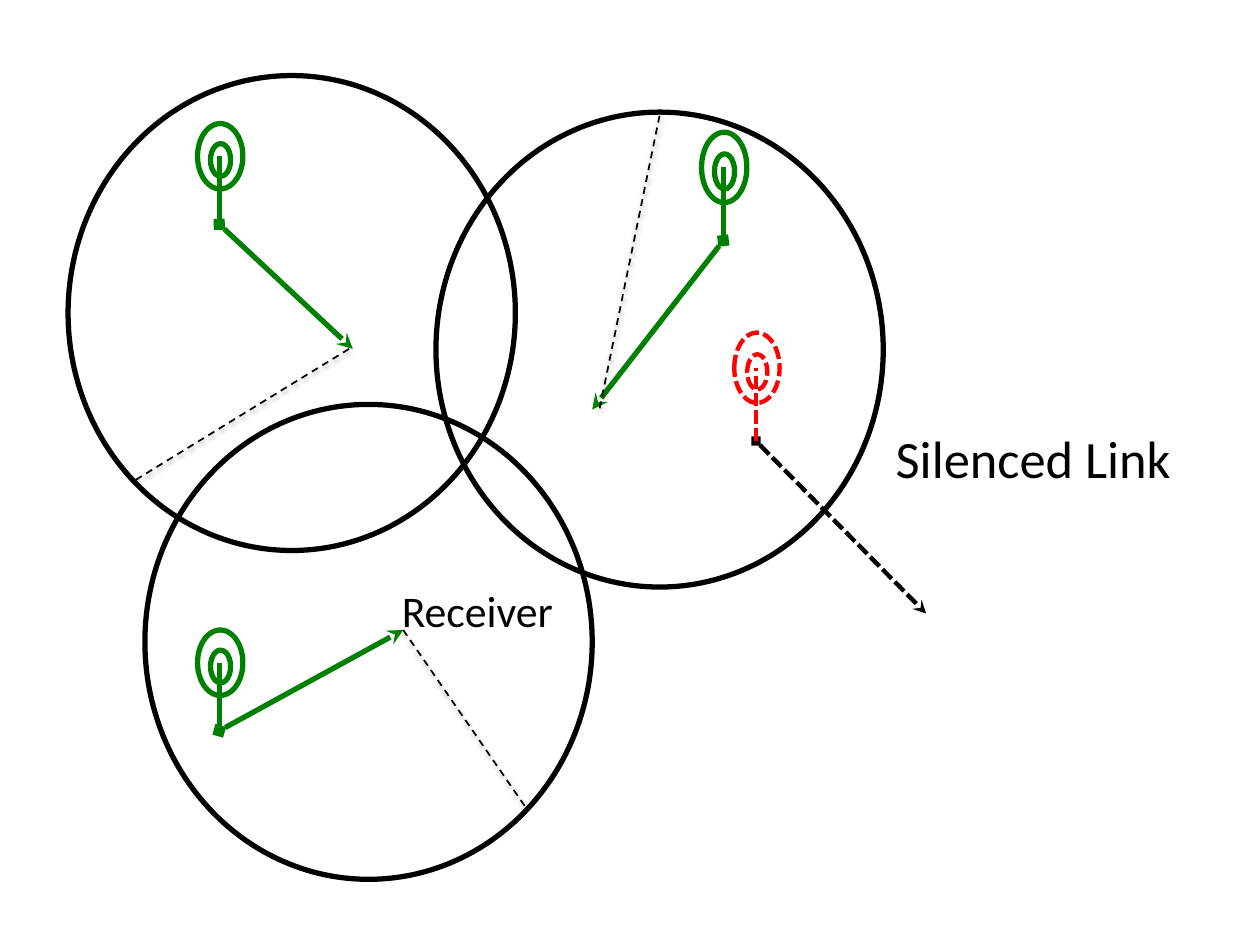
from typing import NamedTuple, Optional

from lxml.etree import SubElement
from pptx import Presentation
from pptx.dml.color import RGBColor
from pptx.enum.dml import MSO_LINE_DASH_STYLE as Dash
from pptx.enum.shapes import MSO_CONNECTOR as Conn, MSO_SHAPE as Shape
from pptx.enum.text import MSO_AUTO_SIZE as AutoSize, PP_ALIGN as Align
from pptx.oxml.ns import qn
from pptx.util import Pt

COLORS = {"active": "008000", "silenced": "FF0000", "ink": "000000"}
FONT = "Calibri"
RANGE_SIZE = (255.6, 271.4)


class Pen(NamedTuple):
    color: str
    width: float
    dash: Optional[Dash] = None


class Link(NamedTuple):
    base: tuple
    tip: tuple
    scale: float
    antenna_pen: Pen
    arrow_pen: Pen


class Ring(NamedTuple):
    dx: float
    dy: float
    width: float
    height: float


class Label(NamedTuple):
    text: str
    left: float
    top: float
    width: float
    height: float
    size: float


MAST = 38.9
RINGS = [Ring(-12.4, -57.6, 25.9, 37.4), Ring(-5, -46.1, 11.5, 18.7)]

ACTIVE = Pen("active", 3)
SILENCED = Pen("silenced", 2.5, Dash.SQUARE_DOT)
SILENCED_ARROW = Pen("ink", 2.5, Dash.SQUARE_DOT)
RANGE = Pen("ink", 3)
RADIUS = Pen("ink", 1, Dash.DASH)

LINKS = [
    Link((125.3, 128.2), (201.6, 199.4), 1, ACTIVE, ACTIVE),
    Link((413.3, 137.5), (338.4, 234), 1.075, ACTIVE, ACTIVE),
    Link((125.3, 417.6), (230.4, 360), 1, ACTIVE, ACTIVE),
    Link((432, 252), (529.2, 350.6), 1.075, SILENCED, SILENCED_ARROW),
]
RANGES = [(38.9, 43.2), (249.1, 64.1), (82.8, 231.1)]
RADII = [
    ((230.4, 360), (301, 462.2)),
    ((342.7, 233.3), (377.3, 64.1)),
    ((199.4, 199.4), (76.3, 275)),
]
LABELS = [
    Label("Receiver", 222.5, 329.8, 102.2, 37.4, 25),
    Label("Silenced Link", 504.7, 239.8, 173.5, 43.9, 30),
]


def apply_pen(line, pen: Pen) -> None:
    line.color.rgb = RGBColor.from_string(COLORS[pen.color])
    line.width = Pt(pen.width)
    if pen.dash is not None:
        line.dash_style = pen.dash


def add_line(shapes, start: tuple, end: tuple, pen: Pen,
             arrow: bool = False, shadow: bool = False) -> None:
    s = shapes.add_connector(Conn.STRAIGHT, *map(Pt, start + end))
    apply_pen(s.line, pen)
    if arrow:
        ln = s.line._get_or_add_ln()
        SubElement(ln, qn("a:headEnd"), type="diamond")
        SubElement(ln, qn("a:tailEnd"), type="stealth")
    effects = SubElement(s._element.spPr, qn("a:effectLst"))
    if shadow:
        sh = SubElement(effects, qn("a:outerShdw"), blurRad=str(Pt(3.1)),
                        dist=str(Pt(1.6)), dir="5400000", rotWithShape="0")
        clr = SubElement(sh, qn("a:srgbClr"), val=COLORS["ink"])
        SubElement(clr, qn("a:alpha"), val="38000")


def add_oval(shapes, left: float, top: float, width: float, height: float,
             pen: Pen) -> None:
    s = shapes.add_shape(Shape.OVAL, Pt(left), Pt(top), Pt(width), Pt(height))
    s.shadow.inherit = False
    s.fill.background()
    apply_pen(s.line, pen)


def add_link(shapes, link: Link) -> None:
    group = shapes.add_group_shape().shapes
    x, y = link.base
    k = link.scale
    add_line(group, link.base, link.tip, link.arrow_pen, arrow=True)
    add_line(group, link.base, (x, y - MAST * k), link.antenna_pen)
    for ring in RINGS:
        add_oval(group, x + ring.dx, y + ring.dy * k, ring.width,
                 ring.height * k, link.antenna_pen)


def add_label(shapes, label: Label) -> None:
    s = shapes.add_textbox(Pt(label.left), Pt(label.top),
                           Pt(label.width), Pt(label.height))
    tf = s.text_frame
    tf.word_wrap = False
    tf.auto_size = AutoSize.SHAPE_TO_FIT_TEXT
    tf.text = label.text
    p = tf.paragraphs[0]
    p.alignment = Align.LEFT
    r = p.runs[0]
    r.font.name = FONT
    r.font.size = Pt(label.size)
    r.font.color.rgb = RGBColor.from_string(COLORS["ink"])


def main() -> None:
    prs = Presentation()
    prs.slide_width, prs.slide_height = Pt(720), Pt(540)
    shapes = prs.slides.add_slide(prs.slide_layouts[6]).shapes
    for link in LINKS:
        add_link(shapes, link)
    for left, top in RANGES:
        add_oval(shapes, left, top, *RANGE_SIZE, RANGE)
    for label in LABELS:
        add_label(shapes, label)
    for start, end in RADII:
        add_line(shapes, start, end, RADIUS, shadow=True)
    prs.save("out.pptx")


if __name__ == "__main__":
    main()
